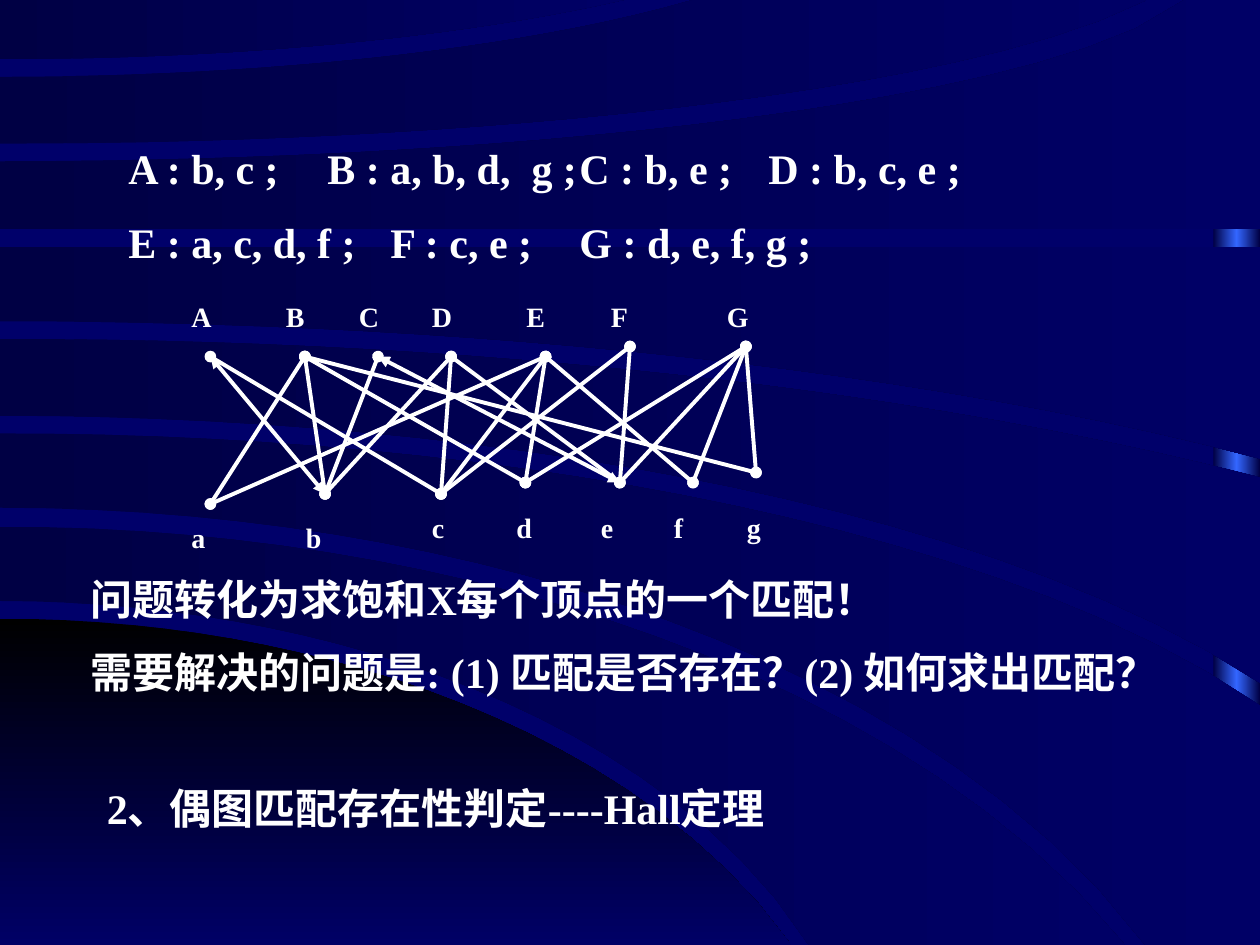
from copy import deepcopy
from math import sqrt

from lxml.etree import SubElement
from pptx import Presentation
from pptx.dml.color import RGBColor
from pptx.enum.shapes import MSO_CONNECTOR, MSO_SHAPE
from pptx.enum.text import MSO_AUTO_SIZE
from pptx.oxml.ns import qn
from pptx.util import Inches, Pt

WHITE, BLACK = "FFFFFF", "000000"
NAVY, DEEP, BRIGHT = "000044", "000066", "3366FF"

# Background bands: upper arc, lower arc, corners between their right ends.
# An arc is (start y at the left edge, end x, end y, ellipse half-width).
BANDS = [
    ((4.18, 8.93, 7.5, 9.9), (4.77, 6.42, 7.5, 6.9), []),
    ((3.44, 10, 5.6, 11.2), (4.03, 9.09, 7.5, 9.9), [(10, 7.5)]),
    ((2.69, 10, 3.79, 14.8), (3.3, 10, 5.42, 11.3), []),
    ((1.96, 10, 1.96, 14), (2.55, 10, 3.64, 13.8), []),
    ((1.28, 9.4, 0, 9.6), (1.82, 10, 1.82, 14), [(10, 0)]),
    ((0.61, 5.5, 0, 7), (1.14, 9.1, 0, 9.6), []),
    ((0, 4.95, 0, 7), (0.47, 4.95, 0, 7), []),
]
CORNER_ARC = (4.91, 6.28, 7.5, 6.9)

# Bipartite graph: upper x, lower (x, y, label x), neighbours
UPPER_X = {"A": 1.67, "B": 2.42, "C": 3, "D": 3.58, "E": 4.33, "F": 5,
           "G": 5.92}
LOWER = {"a": (1.67, 4, 1.42), "b": (2.58, 3.92, 2.33),
         "c": (3.5, 3.92, 3.33), "d": (4.17, 3.83, 4),
         "e": (4.92, 3.83, 4.67), "f": (5.5, 3.83, 5.25),
         "g": (6, 3.75, 5.83)}
NEIGHBOURS = {"A": "bc", "B": "abdg", "C": "be", "D": "bce",
              "E": "acdf", "F": "ce", "G": "defg"}
ARROWED = {"Ab", "Ce"}


def rgb(value):
    return RGBColor.from_string(value)


def arc(start_y, end_x, end_y, half_width, steps=24):
    """Points on an ellipse that is level at the left edge of the slide."""
    def depth(x):
        return 1 - sqrt(1 - (x / half_width) ** 2)

    xs = [end_x * i / steps for i in range(steps + 1)]
    return [(x, start_y + (end_y - start_y) * depth(x) / depth(end_x))
            for x in xs]


def write(tf, text, size=24, color=WHITE, font="Times New Roman", bold=True,
          indent=0, tabs=()):
    p = tf.paragraphs[0]
    pPr = p._p.get_or_add_pPr()
    pPr.set("indent", str(Inches(indent)))
    if tabs:
        tab_list = SubElement(pPr, qn("a:tabLst"))
        for pos in tabs:
            SubElement(tab_list, qn("a:tab"), pos=str(Inches(pos)), algn="l")
    r = p.add_run()
    r.text = text
    r.font.name, r.font.size, r.font.bold = font, Pt(size), bold
    r.font.color.rgb = rgb(color)


class Deck:
    def __init__(self):
        self.prs = Presentation()
        self.prs.slide_width, self.prs.slide_height = Inches(10), Inches(7.5)
        self.s = self.prs.slides.add_slide(self.prs.slide_layouts[6])

    def background(self, color):
        fill = self.s.background.fill
        fill.solid()
        fill.fore_color.rgb = rgb(color)

    def gradient(self, sp, colors, angle):
        sp.shadow.inherit = False
        sp.line.fill.background()
        sp.fill.gradient()
        sp.fill.gradient_angle = angle
        stops = sp._element.spPr.find(qn("a:gradFill")).find(qn("a:gsLst"))
        for _ in colors[2:]:
            stops.append(deepcopy(stops[-1]))
        for i, (stop, color) in enumerate(zip(sp.fill.gradient_stops, colors)):
            stop.position = i / (len(colors) - 1)
            stop.color.rgb = rgb(color)

    def rect(self, x, y, w, h, colors, angle=0):
        sp = self.s.shapes.add_shape(MSO_SHAPE.RECTANGLE, Inches(x), Inches(y),
                                     Inches(w), Inches(h))
        self.gradient(sp, colors, angle)

    def outline(self, points, colors, angle=0):
        pts = [(Inches(x), Inches(y)) for x, y in points]
        builder = self.s.shapes.build_freeform(*pts[0])
        builder.add_line_segments(pts[1:], close=True)
        self.gradient(builder.convert_to_shape(), colors, angle)

    def text(self, x, y, w, h, text, **fmt):
        tf = self.s.shapes.add_textbox(Inches(x), Inches(y), Inches(w),
                                       Inches(h)).text_frame
        tf.word_wrap = True
        tf.auto_size = MSO_AUTO_SIZE.SHAPE_TO_FIT_TEXT
        write(tf, text, **fmt)

    def edge(self, start, end, ends="oval", color=WHITE, width=2.25):
        x1, y1, x2, y2 = (Inches(v) for v in start + end)
        sp = self.s.shapes.add_connector(MSO_CONNECTOR.STRAIGHT, x1, y1, x2, y2)
        sp.line.width = Pt(width)
        sp.line.color.rgb = rgb(color)
        ln = sp.line._get_or_add_ln()
        for tag in ("a:headEnd", "a:tailEnd"):
            SubElement(ln, qn(tag), type=ends)
        SubElement(sp._element.spPr, qn("a:effectLst"))


def main():
    deck = Deck()

    # Background
    deck.background("00006A")
    deck.rect(9.63, 0, 0.37, 7.5, [NAVY, BRIGHT, NAVY])
    deck.outline(arc(*CORNER_ARC) + [(0, 7.5)], [BLACK, DEEP], angle=270)
    for upper, lower, corners in BANDS:
        deck.outline(arc(*upper) + corners + arc(*lower)[::-1], [NAVY, DEEP])

    # Adjacency lists
    deck.text(0.5, 1.08, 8.25, 0.5,
              "A : b, c ;\tB : a, b, d,  g ;\tC : b, e ;\tD : b, c, e ;",
              indent=0.42, tabs=(1.94, 4.26, 5.72))
    deck.text(0.5, 1.67, 8.25, 0.5,
              "E : a, c, d, f ;\tF : c, e ;\tG : d, e, f, g ;",
              indent=0.42, tabs=(2.55, 4.1))

    # Graph edges
    for name, neighbours in NEIGHBOURS.items():
        start = (UPPER_X[name], 2.75 if name in "FG" else 2.83)
        for other in neighbours:
            ends = "triangle" if name + other in ARROWED else "oval"
            deck.edge(start, LOWER[other][:2], ends)

    # Vertex labels
    for name, x in UPPER_X.items():
        deck.text(x - 0.25, 2.33, 0.52, 0.37, name, size=16)
    for name, (_, _, x) in LOWER.items():
        y = 4.08 if name in "ab" else 4
        deck.text(x, y, 0.52, 0.37, name, size=16)

    # Conclusions and next heading
    deck.text(0.25, 4.5, 9.08, 0.5, "问题转化为求饱和X每个顶点的一个匹配！",
              indent=0.37)
    deck.text(0.25, 5.08, 9.33, 0.9,
              "需要解决的问题是: (1) 匹配是否存在？(2) 如何求出匹配？", indent=0.37)
    deck.text(0.33, 6.16, 8.25, 0.5, "2、偶图匹配存在性判定----Hall定理",
              indent=0.42)

    deck.prs.save("out.pptx")


if __name__ == "__main__":
    main()
